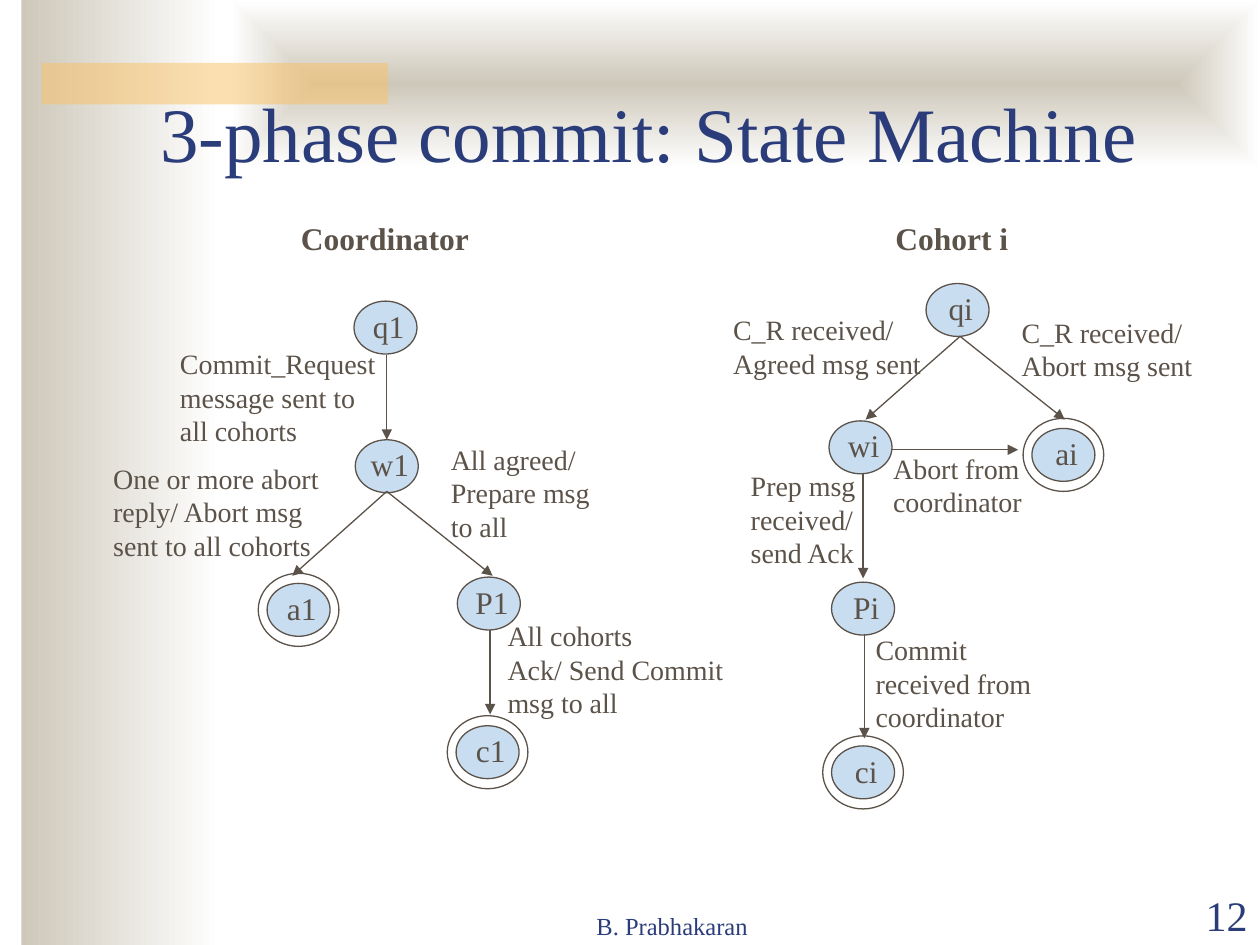
from dataclasses import dataclass
from lxml.etree import SubElement
from pptx import Presentation
from pptx.dml.color import RGBColor
from pptx.enum.shapes import MSO_CONNECTOR, MSO_SHAPE
from pptx.enum.text import MSO_ANCHOR, MSO_AUTO_SIZE, PP_ALIGN
from pptx.oxml import parse_xml
from pptx.oxml.ns import nsdecls, qn
from pptx.util import Inches, Pt


@dataclass(frozen=True)
class Theme:
    font: str = "Times New Roman"
    navy: RGBColor = RGBColor(0x2A, 0x3D, 0x7A)
    brown: RGBColor = RGBColor(0x5B, 0x52, 0x49)
    state_blue: RGBColor = RGBColor(0xC9, 0xDD, 0xF1)
    sand: RGBColor = RGBColor(0xCE, 0xC8, 0xBA)
    white: RGBColor = RGBColor(0xFF, 0xFF, 0xFF)
    amber: RGBColor = RGBColor(0xFA, 0xC1, 0x64)
    title_size: int = 44
    number_size: int = 24
    state_size: int = 18
    caption_size: int = 16
    footer_size: int = 14
    line_width: float = 0.75


theme = Theme()
presentation = Presentation()
presentation.slide_width = Inches(10)
presentation.slide_height = Inches(7.5)
slide = presentation.slides.add_slide(presentation.slide_layouts[5])
shapes = slide.shapes


def grid(*cells):
    return [round(cell * presentation.slide_width / 100) for cell in cells]


def write_text(shape, text, size=theme.caption_size, color=theme.brown, bold=False,
               align=PP_ALIGN.LEFT, anchor=MSO_ANCHOR.MIDDLE, wrap=False):
    frame = shape.text_frame
    frame.text = text
    frame.word_wrap = wrap
    frame.auto_size = MSO_AUTO_SIZE.NONE
    frame.vertical_anchor = anchor
    if not wrap:
        frame.margin_right = 0
        if align == PP_ALIGN.CENTER:
            frame.margin_left = 0
    for paragraph in frame.paragraphs:
        paragraph.alignment = align
        paragraph.font.name = theme.font
        paragraph.font.size = Pt(size)
        paragraph.font.bold = bold
        paragraph.font.color.rgb = color


bands = []
for cells in [(1.7, 0, 15.8, 75), (18.3, 0, 81.7, 13.3), (3.3, 5, 27.5, 3.3)]:
    band = shapes.add_shape(MSO_SHAPE.RECTANGLE, *grid(*cells))
    band.shadow.inherit = False
    band.line.fill.background()
    bands.append(band)
side_band, top_band, accent_band = bands

for band in (side_band, top_band):
    band.fill.gradient()
    band.fill.gradient_angle = 0
    for stop, color in zip(band.fill.gradient_stops, (theme.sand, theme.white)):
        stop.color.rgb = color

linear = top_band.element.spPr.find(".//" + qn("a:lin"))
linear.getparent().replace(linear, parse_xml(
    f'<a:path {nsdecls("a")} path="rect">'
    '<a:fillToRect l="50000" t="50000" r="50000" b="50000"/></a:path>'))

accent_band.fill.solid()
accent_band.fill.fore_color.rgb = theme.amber
accent_color = accent_band.element.spPr.find(".//" + qn("a:srgbClr"))
SubElement(accent_color, qn("a:alpha"), val="50000")

title = shapes.title
title.left, title.top, title.width, title.height = grid(11.7, 2.1, 85, 12.5)
write_text(title, "3-phase commit: State Machine", size=theme.title_size,
           color=theme.navy, anchor=MSO_ANCHOR.BOTTOM, wrap=True)
accent_band.element.addnext(title.element)

for left, width, text, size, align in [
    (37.5, 31.7, "B. Prabhakaran", theme.footer_size, PP_ALIGN.CENTER),
    (90, 10, "12", theme.number_size, PP_ALIGN.RIGHT),
]:
    footer = shapes.add_textbox(*grid(left, 70.1, width, 5))
    write_text(footer, text, size=size, color=theme.navy, align=align,
               anchor=MSO_ANCHOR.BOTTOM, wrap=True)

for left, width, text in [(22.9, 15.3, "Coordinator"), (70.1, 10.9, "Cohort i")]:
    heading = shapes.add_textbox(*grid(left, 16.9, width, 4))
    write_text(heading, text, size=theme.state_size, bold=True, align=PP_ALIGN.CENTER)

state_oval = (5, 4.2)
final_ring = (6.4, 5.8)
label_shift = (0.25, -0.15)
states = [
    ("q1", 30.6, 26, 4.5, False),
    ("w1", 30.7, 37, 5, False),
    ("a1", 23.7, 48.4, 4.3, True),
    ("P1", 38.8, 47.9, 4.6, False),
    ("c1", 38.7, 59.7, 4.3, True),
    ("qi", 76, 24.6, 3.9, False),
    ("wi", 68.3, 35.5, 4.5, False),
    ("ai", 84.4, 36.1, 3.8, True),
    ("Pi", 68.5, 48.3, 4.1, False),
    ("ci", 68.5, 61.3, 3.8, True),
]
for name, center_x, center_y, label_width, final in states:
    for width, height in [state_oval] + [final_ring] * final:
        oval = shapes.add_shape(MSO_SHAPE.OVAL, *grid(
            center_x - width / 2, center_y - height / 2, width, height))
        oval.shadow.inherit = False
        oval.line.color.rgb = theme.brown
        oval.line.width = Pt(theme.line_width)
        if (width, height) == state_oval:
            oval.fill.solid()
            oval.fill.fore_color.rgb = theme.state_blue
        else:
            oval.fill.background()
    label = shapes.add_textbox(*grid(
        center_x + label_shift[0] - label_width / 2,
        center_y + label_shift[1] - 2, label_width, 4))
    write_text(label, name, size=theme.state_size, align=PP_ALIGN.CENTER)

transitions = [
    (30.7, 28.2, 30.7, 34.9),
    (30.7, 39, 23.2, 45.7),
    (30.7, 39, 39.1, 45.7),
    (38.9, 50, 38.9, 56.7),
    (76.2, 26.7, 68.7, 33.3),
    (76.2, 26.7, 84.5, 33.3),
    (70.8, 35.7, 80.8, 35.7),
    (68.5, 37.5, 68.5, 45.9),
    (68.6, 50.3, 68.6, 58.6),
]
for ends in transitions:
    arrow = shapes.add_connector(MSO_CONNECTOR.STRAIGHT, *grid(*ends))
    arrow.line.color.rgb = theme.brown
    arrow.line.width = Pt(theme.line_width)
    SubElement(arrow.element.spPr.find(qn("a:ln")), qn("a:tailEnd"), type="triangle")
    SubElement(arrow.element.spPr, qn("a:effectLst"))

captions = [
    (13.3, 27, 17.5, "Commit_Request\nmessage sent to\nall cohorts"),
    (8, 36.1, 18.3, "One or more abort\nreply/ Abort msg\nsent to all cohorts"),
    (34.8, 34.6, 13, "All agreed/\nPrepare msg\nto all"),
    (39.3, 48.6, 19.1, "All cohorts\nAck/ Send Commit\nmsg to all"),
    (57.2, 24.3, 16.9, "C_R received/\nAgreed msg sent"),
    (80.1, 24.5, 15.5, "C_R received/\nAbort msg sent"),
    (58.6, 36.7, 10.8, "Prep msg\nreceived/\nsend Ack"),
    (69.9, 35.3, 12.2, "Abort from\ncoordinator"),
    (68.5, 49.7, 14.9, "Commit\nreceived from\ncoordinator"),
]
for left, top, width, text in captions:
    height = 1.1 + 2.63 * len(text.splitlines())
    caption = shapes.add_textbox(*grid(left, top, width, height))
    write_text(caption, text)

presentation.save("out.pptx")
